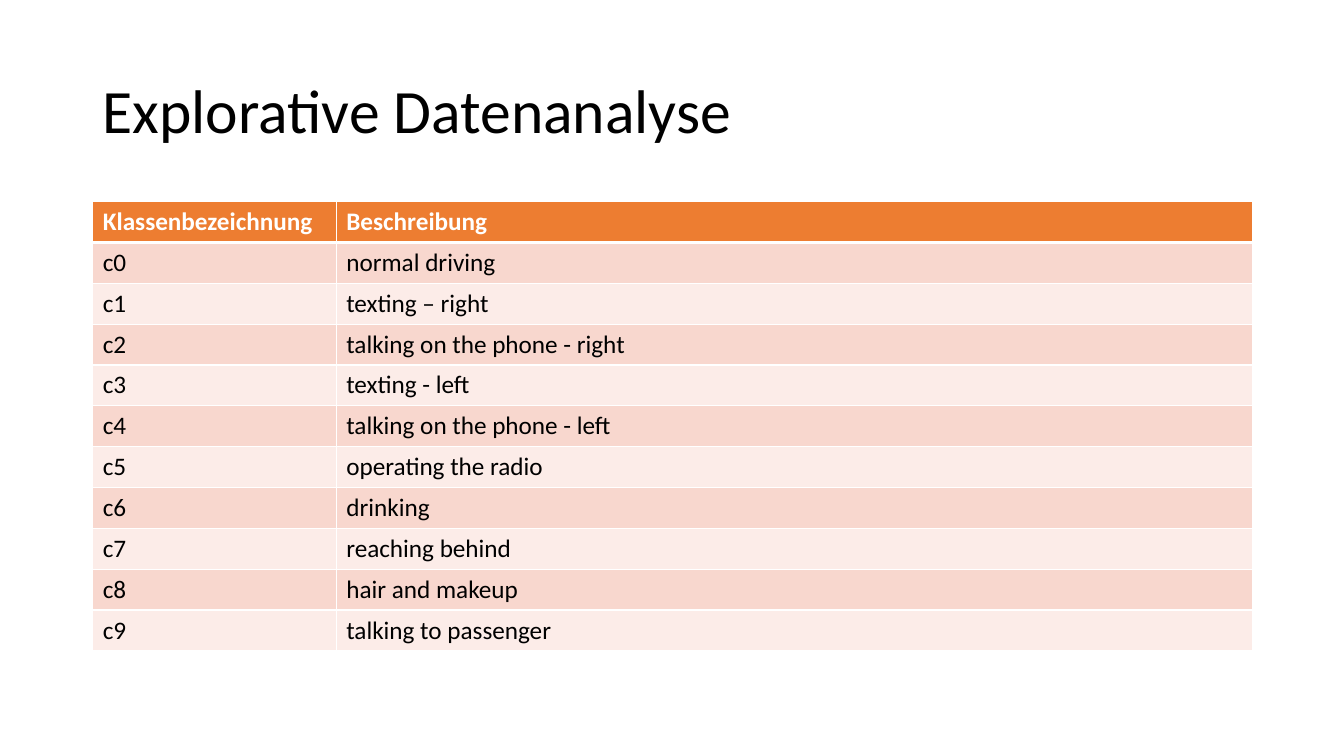
from pptx import Presentation
from pptx.dml.color import RGBColor
from pptx.enum.text import MSO_ANCHOR
from pptx.oxml import parse_xml
from pptx.oxml.ns import nsdecls
from pptx.util import Inches, Pt

BLACK = RGBColor(0x00, 0x00, 0x00)
WHITE = RGBColor(0xFF, 0xFF, 0xFF)
ORANGE = RGBColor(0xED, 0x7D, 0x31)
ROSE = RGBColor(0xF8, 0xD7, 0xCE)
PALE_ROSE = RGBColor(0xFC, 0xEC, 0xE8)

# Grid: 100 columns between the side margins, 150 rows down the slide
MARGIN = Inches(0.92)
COLUMN = Inches(0.115)
ROW = Inches(0.05)

DRIVER_CLASSES = [
    "normal driving",
    "texting – right",
    "talking on the phone - right",
    "texting - left",
    "talking on the phone - left",
    "operating the radio",
    "drinking",
    "reaching behind",
    "hair and makeup",
    "talking to passenger",
]


class SlideBuilder:
    """Holds the text style and the slide being filled."""

    title_format = {"name": "Calibri", "size": Pt(44), "bold": False}
    cell_format = {"name": "Calibri", "size": Pt(18), "bold": False}
    header_format = {**cell_format, "bold": True}

    def __init__(self, slide):
        self.slide = slide

    def add_text(self, text_frame, text, values, color):
        paragraph = text_frame.paragraphs[0]
        run = paragraph.add_run()
        run.text = text
        for name, value in values.items():
            setattr(run.font, name, value)
        run.font.color.rgb = color
        return paragraph

    def title(self, text, top, height):
        shape = self.slide.shapes.add_textbox(
            MARGIN, top * ROW, 100 * COLUMN, height * ROW)
        frame = shape.text_frame
        frame.word_wrap = True
        frame.vertical_anchor = MSO_ANCHOR.MIDDLE
        self.add_text(frame, text, self.title_format, BLACK).line_spacing = 0.9

    def borders(self, cell, widths):
        properties = cell._tc.get_or_add_tcPr()
        for side, width in widths.items():
            properties.append(parse_xml(
                f'<a:{side} {nsdecls("a")} w="{Pt(width)}"><a:solidFill>'
                f'<a:srgbClr val="{WHITE}"/></a:solidFill></a:{side}>'))

    def table(self, records, top, column_widths, row_height):
        table = self.slide.shapes.add_table(
            len(records), len(column_widths), MARGIN, top * ROW,
            sum(column_widths) * COLUMN,
            int(len(records) * row_height * ROW)).table
        for column, width in zip(table.columns, column_widths):
            column.width = width * COLUMN
        for index, record in enumerate(records):
            table.rows[index].height = int(row_height * ROW)
            # Header row, then alternating bands
            if index == 0:
                values, color, fill = self.header_format, WHITE, ORANGE
            else:
                values, color = self.cell_format, BLACK
                fill = ROSE if index % 2 else PALE_ROSE
            widths = {"lnL": 1, "lnR": 1,
                      "lnT": 3 if index == 1 else 1,
                      "lnB": 3 if index == 0 else 1}
            for cell, text in zip(table.rows[index].cells, record):
                self.borders(cell, widths)
                cell.fill.solid()
                cell.fill.fore_color.rgb = fill
                self.add_text(cell.text_frame, text, values, color)


def main():
    presentation = Presentation()
    presentation.slide_width = Inches(13.33)
    presentation.slide_height = Inches(7.5)
    builder = SlideBuilder(
        presentation.slides.add_slide(presentation.slide_layouts[6]))

    # Heading
    builder.title("Explorative Datenanalyse", top=8, height=29)

    # Class table
    records = [("Klassenbezeichnung", "Beschreibung")]
    records += [(f"c{number}", description)
                for number, description in enumerate(DRIVER_CLASSES)]
    builder.table(records, top=40, column_widths=(21, 79), row_height=8.11)

    presentation.save("out.pptx")


if __name__ == "__main__":
    main()
